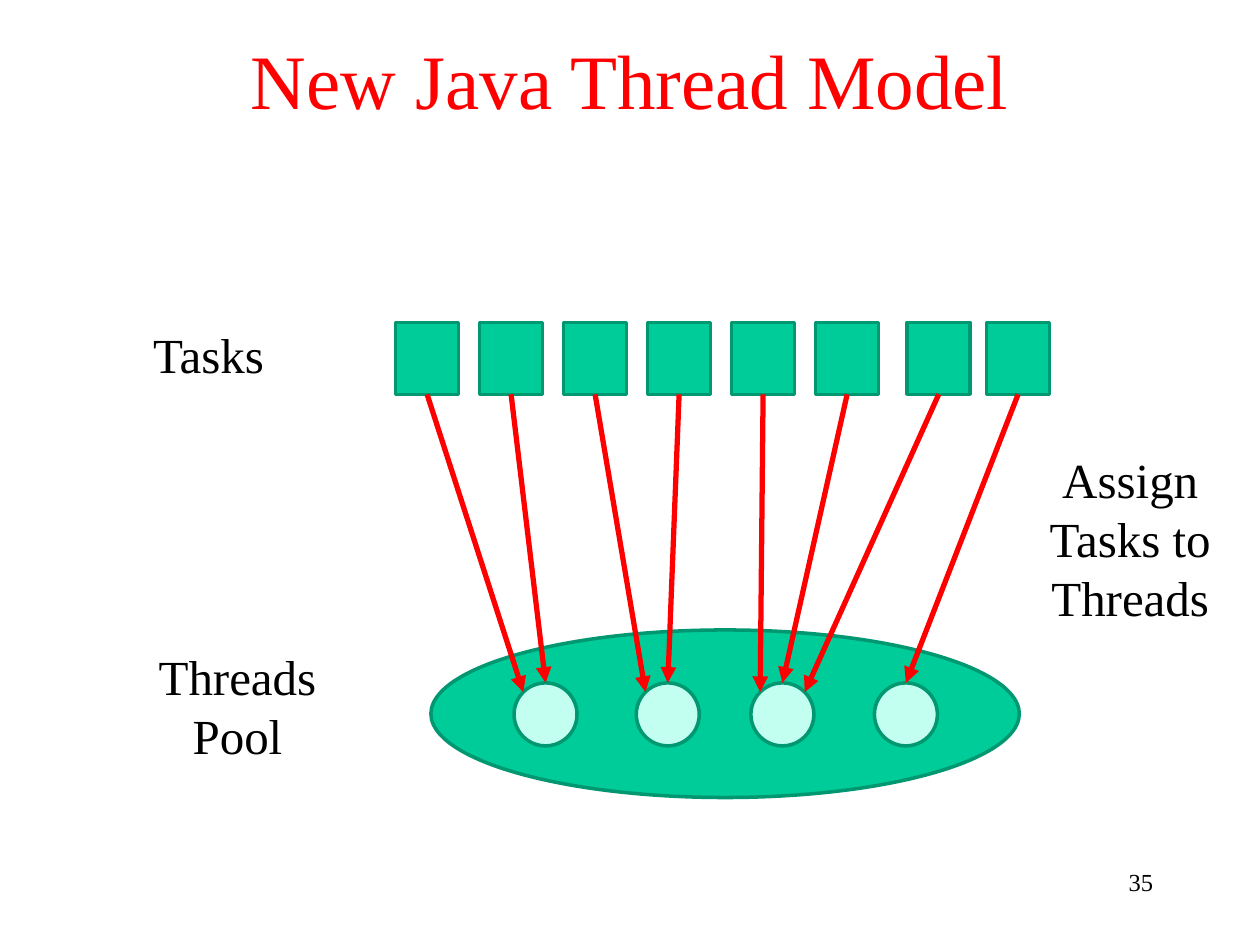
from math import sqrt

from lxml import etree
from pptx import Presentation
from pptx.dml.color import RGBColor
from pptx.enum.shapes import MSO_CONNECTOR, MSO_SHAPE
from pptx.enum.text import MSO_ANCHOR, MSO_AUTO_SIZE, PP_ALIGN
from pptx.oxml.ns import qn
from pptx.util import Inches, Pt

RECT, OVAL = MSO_SHAPE.RECTANGLE, MSO_SHAPE.OVAL
STRAIGHT = MSO_CONNECTOR.STRAIGHT
CENTER, RIGHT = PP_ALIGN.CENTER, PP_ALIGN.RIGHT
MIDDLE = MSO_ANCHOR.MIDDLE
FIT_SHAPE, NO_FIT = MSO_AUTO_SIZE.SHAPE_TO_FIT_TEXT, MSO_AUTO_SIZE.NONE


def rgb(value):
    return RGBColor.from_string(value)


class Deck:
    """Slide style and the slide being drawn."""

    FONT = "Times New Roman"
    TEXT, RED = "000000", "FF0000"
    GREEN, PALE, EDGE = "00CC99", "C2FFF0", "009771"

    def __init__(self, prs):
        self.slide = prs.slides.add_slide(prs.slide_layouts[5])

    def set_text(self, tf, text, size, color, align):
        tf.text = text
        for p in tf.paragraphs:
            p.alignment = align
            for r in p.runs:
                r.font.name = self.FONT
                r.font.size = Pt(size)
                r.font.color.rgb = rgb(color)

    def title(self, text, x, y, w, h):
        sp = self.slide.shapes.title
        sp.left, sp.top, sp.width, sp.height = map(Inches, (x, y, w, h))
        tf = sp.text_frame
        self.set_text(tf, text, 44, self.RED, CENTER)
        tf.auto_size = NO_FIT
        tf.vertical_anchor = MIDDLE

    def label(self, text, x, y, w, h, size=28, align=CENTER, wrap=False):
        sp = self.slide.shapes.add_textbox(*map(Inches, (x, y, w, h)))
        tf = sp.text_frame
        self.set_text(tf, text, size, self.TEXT, align)
        tf.word_wrap = wrap
        tf.auto_size = NO_FIT if wrap else FIT_SHAPE

    def shape(self, kind, x, y, w, h, fill):
        sp = self.slide.shapes.add_shape(kind, *map(Inches, (x, y, w, h)))
        sp.shadow.inherit = False
        sp.fill.solid()
        sp.fill.fore_color.rgb = rgb(fill)
        sp.line.color.rgb = rgb(self.EDGE)
        sp.line.width = Pt(2)

    def arrow(self, x1, y1, x2, y2):
        cxn = self.slide.shapes.add_connector(STRAIGHT, *map(Inches, (x1, y1, x2, y2)))
        cxn.line.color.rgb = rgb(self.RED)
        cxn.line.width = Pt(3)
        props = cxn.element.spPr
        etree.SubElement(props.find(qn("a:ln")), qn("a:tailEnd"), type="triangle")
        etree.SubElement(props, qn("a:effectLst"))


def main():
    prs = Presentation()
    prs.slide_width, prs.slide_height = Inches(10), Inches(7.5)
    deck = Deck(prs)
    deck.title("New Java Thread Model", 0, 0, 10, 1.25)

    task_y, task_w, task_h = 2.56, 0.5, 0.57
    tasks = [3.14 + i * 2 / 3 for i in range(6)] + [7.2, 7.83]
    deck.label("Tasks", 1.05, 2.53, 1.21, 0.57)
    for x in tasks:
        deck.shape(RECT, x, task_y, task_w, task_h, deck.GREEN)

    thread_y, thread_d = 5.42, 0.5
    threads = [4.08, 5.05, 5.96, 6.94]
    deck.label("Threads\nPool", 1.06, 5.08, 1.65, 1.04)
    deck.shape(OVAL, 3.42, 5, 4.67, 1.33, deck.GREEN)
    for x in threads:
        deck.shape(OVAL, x, thread_y, thread_d, thread_d, deck.PALE)

    deck.label("Assign\nTasks to\nThreads", 8.15, 3.52, 1.64, 1.51)
    radius = thread_d / 2
    diagonal = radius / sqrt(2)
    assignments = [(0, -1), (0, 0), (1, -1), (1, 0), (2, -1), (2, 0), (2, 1), (3, 0)]
    for x, (thread, side) in zip(tasks, assignments):
        rise = diagonal if side else radius
        deck.arrow(x + task_w / 2, task_y + task_h,
                   threads[thread] + radius + side * diagonal,
                   thread_y + radius - rise)

    deck.label("35", 7.17, 6.83, 2.08, 0.5, size=14, align=RIGHT, wrap=True)
    prs.save("out.pptx")


if __name__ == "__main__":
    main()
